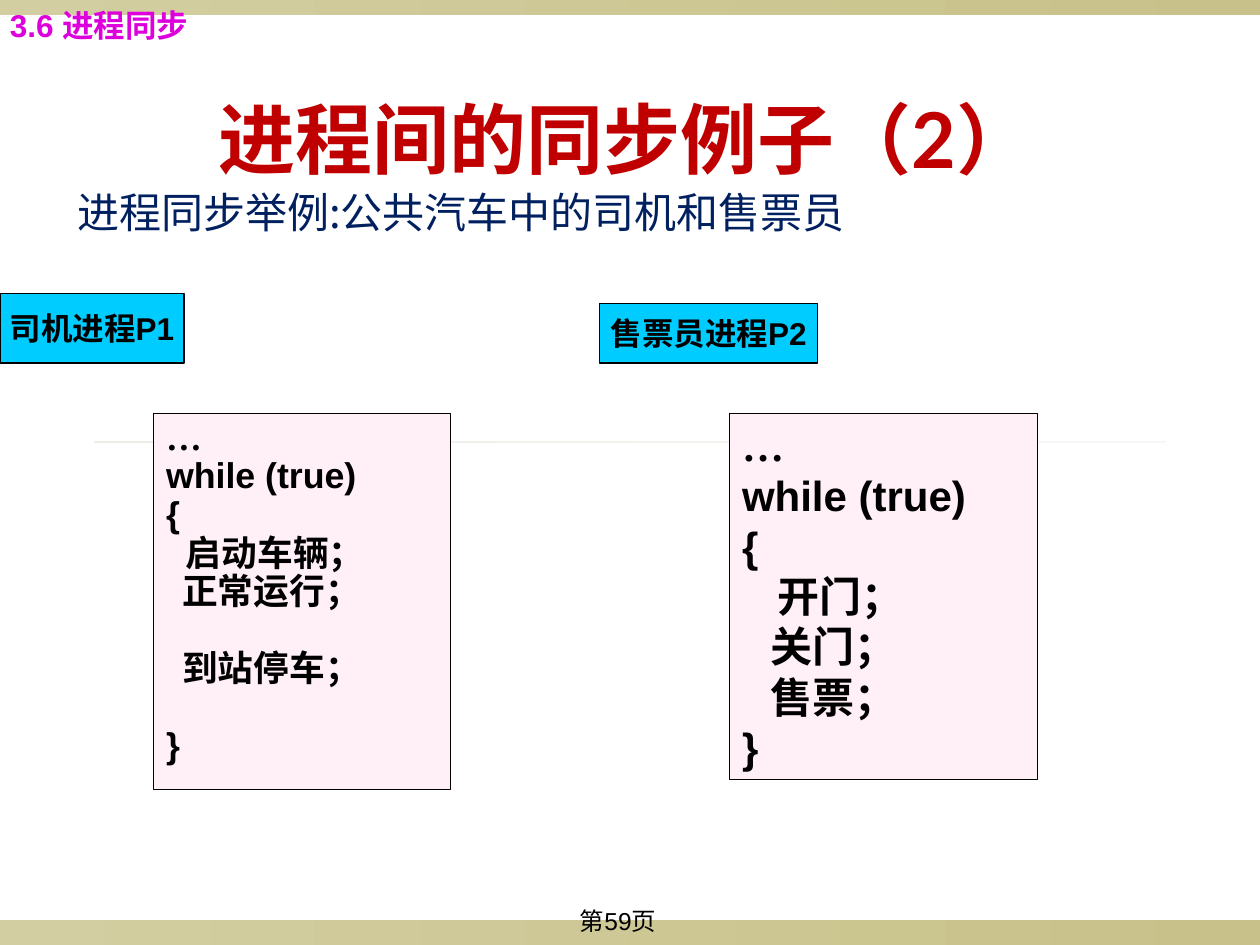
import pptx
import pptx.util
import pptx.dml.color
import pptx.enum.shapes
import pptx.enum.text
import pptx.oxml
import pptx.oxml.ns

Cm, Pt = pptx.util.Cm, pptx.util.Pt
ALIGN = pptx.enum.text.PP_ALIGN
MID, TOP = pptx.enum.text.MSO_ANCHOR.MIDDLE, pptx.enum.text.MSO_ANCHOR.TOP
RECT = pptx.enum.shapes.MSO_SHAPE.RECTANGLE
HAN = "Noto Sans CJK SC"
COLORS = {
    "ink": "000000", "red": "C00000", "navy": "002060", "pink": "DD00DD",
    "cyan": "00CCFF", "rose": "FFEFF7", "sand": "D3CEA1", "khaki": "C8C18A",
    "mist": "EEECE6", "pale": "F8F7F5",
}

# Content: places are left, top, width, height in cm
TITLE = "进程间的同步例子（2）"
TOPIC = "进程同步举例:公共汽车中的司机和售票员"
BANDS = [
    ((0, 18.54, 25.4, 0.51), "sand", "khaki"),
    ((0, 0, 25.4, 0.3), "sand", "khaki"),
    ((1.9, 8.89, 21.6, 0.05), "mist", "pale"),
]
NOTES = [
    ("第59页", (9.5, 18.14, 5.92, 0.91), ALIGN.CENTER,
     {"size": Pt(14), "name": "Arial"}, "ink"),
    ("3.6 进程同步", (-0.05, 0, 4.24, 1.02), ALIGN.LEFT,
     {"size": Pt(18), "name": "Arial", "bold": True}, "pink"),
]
LABELS = [
    ("司机进程P1", (0, 5.92, 3.71, 1.4)),
    ("售票员进程P2", (12.09, 6.12, 4.39, 1.2)),
]
# Each code line has its text and the space after it in points; \v breaks a line
CODES = [
    ((3.1, 8.33, 5.99, 7.59), 20.4, 0.9, [
        ("…", 0), ("while (true)", 0), ("{\v  启动车辆；", 0),
        ("  正常运行；", 22), ("  到站停车；", 22), ("}", 0)]),
    ((14.71, 8.33, 6.2, 7.39), 24, 1, [
        ("…", 0), ("while (true)", 0), ("{\v   开门；", 0),
        ("   关门；", 0), ("   售票；\v}", 0)]),
]


def color(key):
    return pptx.dml.color.RGBColor.from_string(COLORS[key])


def apply(obj, form):
    for key, val in form.items():
        setattr(obj, key, val)


def place(shape, box):
    apply(shape, dict(zip(("left", "top", "width", "height"), map(Cm, box))))


def write(par, text, font, hue, **form):
    par.text = text
    apply(par, form)
    for run in par.runs:
        apply(run.font, font)
        run.font.color.rgb = color(hue)
        if font["name"] != "Times New Roman":
            tag = pptx.oxml.ns.qn("a:ea")
            run.font._element.find(pptx.oxml.ns.qn("a:latin")).addnext(
                run.font._element.makeelement(tag, {"typeface": HAN}))


def frame(shape, anchor, wrap):
    apply(shape.text_frame, {
        "vertical_anchor": anchor, "word_wrap": wrap,
        "auto_size": pptx.enum.text.MSO_AUTO_SIZE.NONE})
    return shape.text_frame


def panel(slide, box, hue=None):
    shape = slide.shapes.add_shape(RECT, *map(Cm, box))
    shape.shadow.inherit = False
    if hue:
        shape.fill.solid()
        shape.fill.fore_color.rgb = color(hue)
        shape.line.color.rgb = color("ink")
        shape.line.width = Pt(0.75)
    else:
        shape.line.fill.background()
    return shape


def main():
    deck = pptx.Presentation()
    deck.slide_width, deck.slide_height = Cm(25.4), Cm(19.05)
    slide = deck.slides.add_slide(deck.slide_layouts[1])
    head, body = slide.placeholders

    # Bands and divider
    for box, *hues in BANDS:
        fill = panel(slide, box).fill
        fill.gradient()
        fill.gradient_angle = 0
        for stop, hue in zip(fill.gradient_stops, hues):
            stop.color.rgb = color(hue)

    # Title and topic
    place(head, (1.19, 1.19, 22.86, 3.18))
    write(frame(head, MID, True).paragraphs[0], TITLE,
          {"size": Pt(44), "name": "Lato", "bold": True}, "red",
          alignment=ALIGN.CENTER)
    place(body, (1.3, 3.33, 22.4, 1.6))
    par = frame(body, TOP, True).paragraphs[0]
    props = par._p.get_or_add_pPr()
    apply_in = {"marL": str(Cm(0.97)), "indent": str(Cm(-0.97))}
    for key, val in apply_in.items():
        props.set(key, val)
    props.append(props.makeelement(pptx.oxml.ns.qn("a:buNone"), {}))
    write(par, TOPIC, {"size": Pt(24), "name": HAN}, "navy",
          line_spacing=1.3, space_before=Pt(0))

    # Section name and page number
    for text, box, align, font, hue in NOTES:
        note = slide.shapes.add_textbox(*map(Cm, box))
        write(frame(note, TOP, False).paragraphs[0], text, font, hue,
              alignment=align)

    # Process labels
    for text, box in LABELS:
        write(frame(panel(slide, box, "cyan"), MID, False).paragraphs[0], text,
              {"size": Pt(18), "name": "Arial", "bold": True}, "ink",
              alignment=ALIGN.CENTER)

    # Code panels
    for box, size, gap, lines in CODES:
        text = frame(panel(slide, box, "rose"), TOP, True)
        for num, (line, after) in enumerate(lines):
            par = text.add_paragraph() if num else text.paragraphs[0]
            name = "Arial" if num else "Times New Roman"
            write(par, line, {"size": Pt(size), "name": name, "bold": True},
                  "ink", alignment=ALIGN.LEFT, line_spacing=gap,
                  space_after=Pt(after))

    deck.save("out.pptx")


if __name__ == "__main__":
    main()
